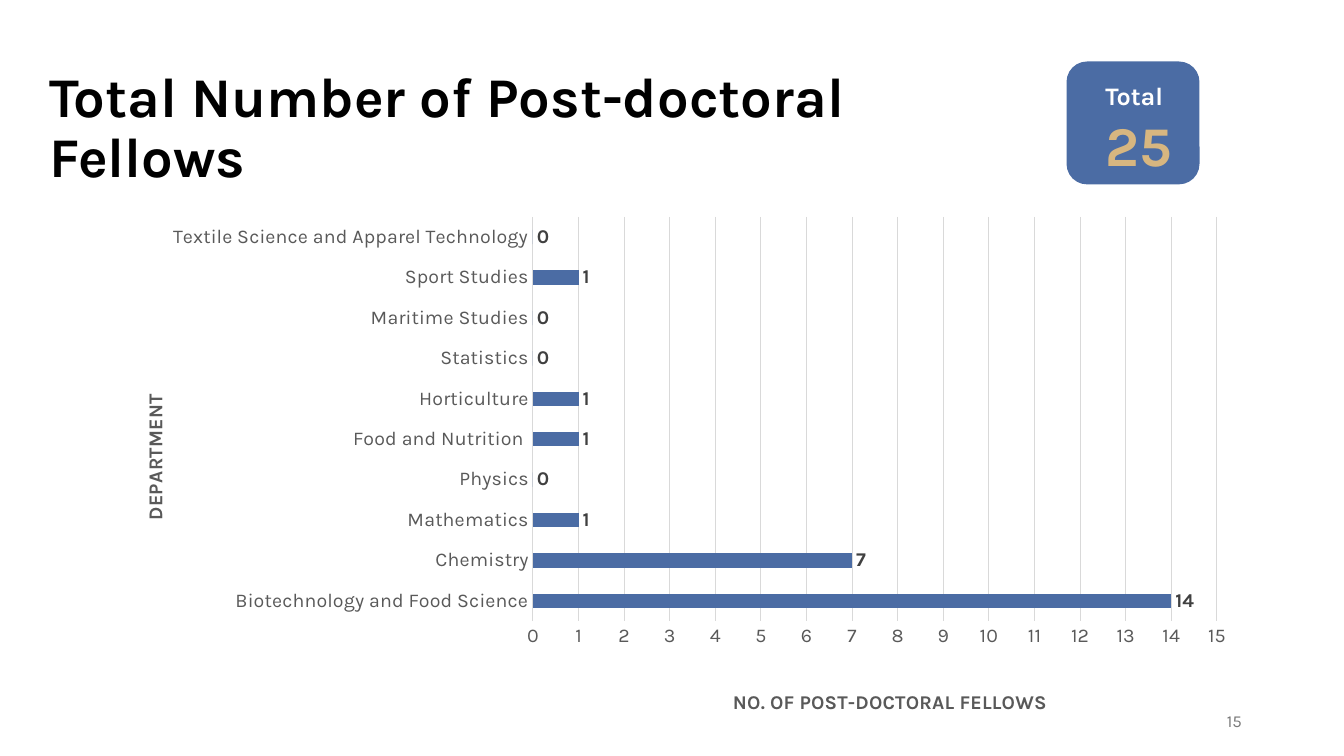
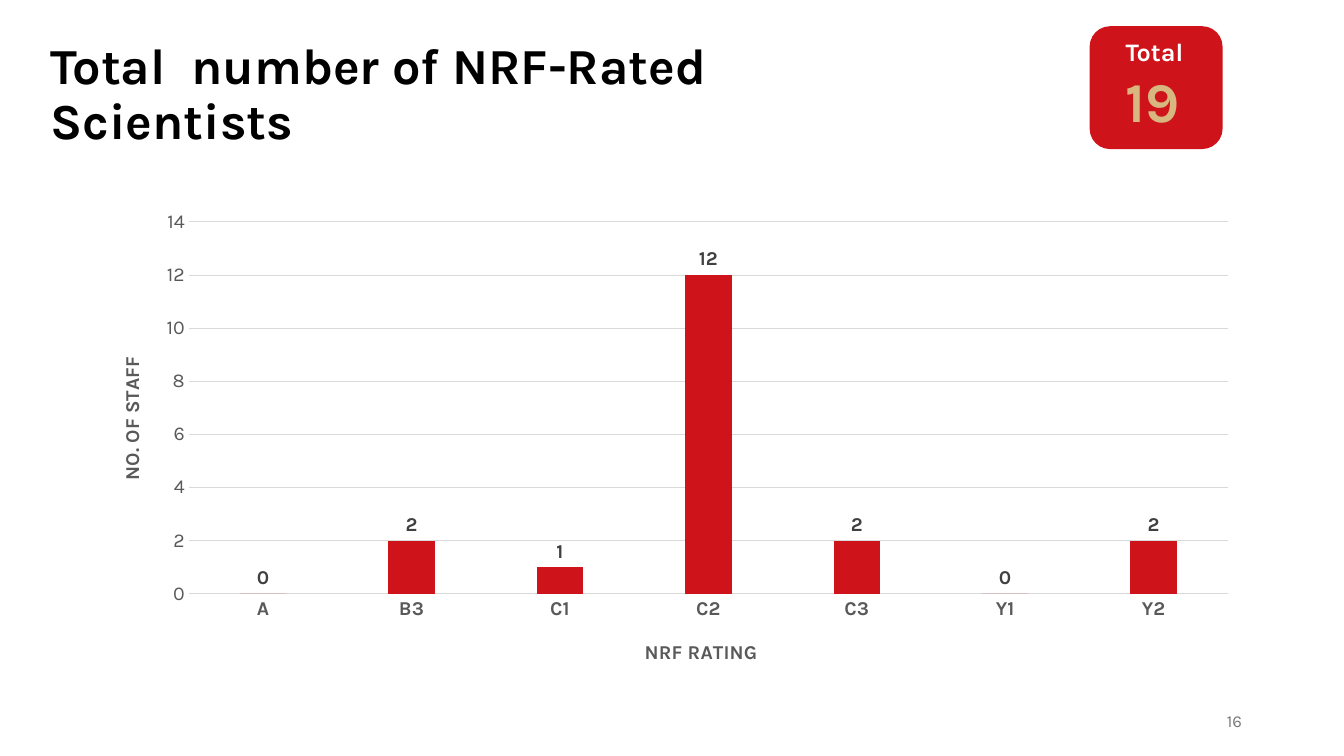
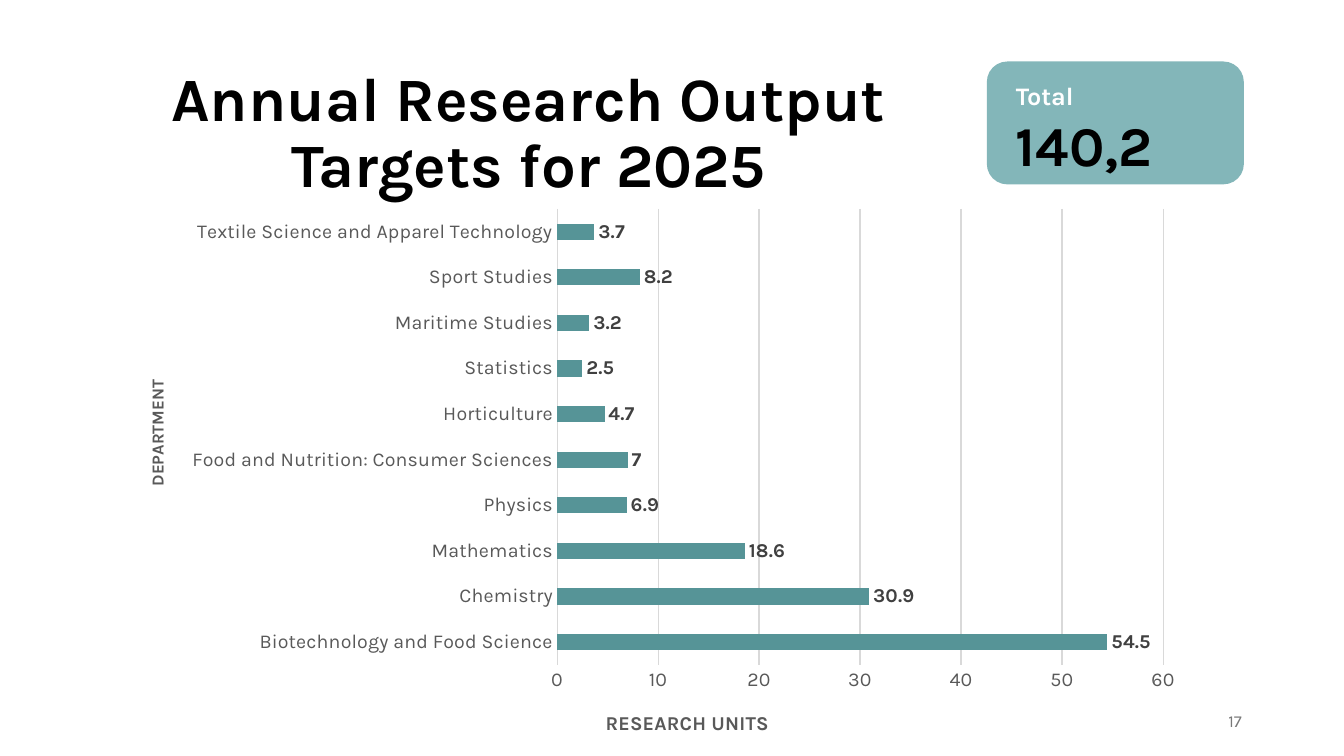
from collections import namedtuple

from lxml import etree
from pptx import Presentation
from pptx.chart import data
from pptx.dml.color import RGBColor
from pptx.enum import chart as charts, shapes, text
from pptx.oxml.ns import qn
from pptx.util import Pt

FONT = "Karla"
BLACK = RGBColor(0x00, 0x00, 0x00)
WHITE = RGBColor(0xFF, 0xFF, 0xFF)
GOLD = RGBColor(0xD7, 0xB6, 0x80)
BLUE = RGBColor(0x4B, 0x6C, 0xA4)
RED = RGBColor(0xCE, 0x14, 0x1A)
TEAL = RGBColor(0x56, 0x94, 0x97)
PALE_TEAL = RGBColor(0x83, 0xB6, 0xB9)
AXIS_GREY = RGBColor(0x59, 0x59, 0x59)
LABEL_GREY = RGBColor(0x40, 0x40, 0x40)
GRID_GREY = RGBColor(0xD9, 0xD9, 0xD9)
NUMBER_GREY = RGBColor(0x79, 0x79, 0x79)

BAR = charts.XL_CHART_TYPE.BAR_CLUSTERED
COLUMN = charts.XL_CHART_TYPE.COLUMN_CLUSTERED
LEFT, CENTER, RIGHT = (text.PP_ALIGN.LEFT, text.PP_ALIGN.CENTER,
                       text.PP_ALIGN.RIGHT)

Box = namedtuple("Box", "left top width height")
AxisTitle = namedtuple("AxisTitle", "text left top size")
ChartPlan = namedtuple(
    "ChartPlan",
    "kind frame plot color gap maximum step category_title value_title "
    "categories values bold_categories")

NUMBER_BOX = Box(678.2, 500.4, 216, 28.8)
BADGE_HEIGHT = 87.8


def departments(nutrition):
    return ["Biotechnology and Food Science", "Chemistry", "Mathematics",
            "Physics", nutrition, "Horticulture", "Statistics",
            "Maritime Studies", "Sport Studies",
            "Textile Science and Apparel Technology"]


def in_points(box):
    return [Pt(length) for length in box]


def style_font(font, size, color, bold=False):
    font.name = FONT
    font.size = Pt(size)
    font.bold = bold
    font.color.rgb = color


def write(para, words, size, color, bold=False, align=LEFT):
    para.text = words
    para.alignment = align
    for span in para.runs:
        style_font(span.font, size, color, bold)


def add_title(page, words, box, size, align=LEFT):
    title = page.shapes.title
    title.left, title.top, title.width, title.height = in_points(box)
    frame = title.text_frame
    frame.auto_size = text.MSO_AUTO_SIZE.NONE
    frame.vertical_anchor = text.MSO_ANCHOR.MIDDLE
    write(frame.paragraphs[0], words, size, BLACK, True, align)
    frame.paragraphs[0].line_spacing = 0.9


def add_text_box(page, box):
    frame = page.shapes.add_textbox(*in_points(box)).text_frame
    frame.word_wrap = True
    return frame


def add_badge(page, left, top, width, fill, text_box, total, total_color):
    badge = page.shapes.add_shape(
        shapes.MSO_SHAPE.ROUNDED_RECTANGLE,
        *in_points(Box(left, top, width, BADGE_HEIGHT)))
    badge.shadow.inherit = False
    badge.fill.solid()
    badge.fill.fore_color.rgb = fill
    badge.line.fill.background()
    frame = add_text_box(page, text_box)
    write(frame.paragraphs[0], "Total", 18, WHITE, True)
    write(frame.add_paragraph(), total, 40, total_color, True)


def add_page_number(page, number):
    frame = add_text_box(page, NUMBER_BOX)
    frame.vertical_anchor = text.MSO_ANCHOR.MIDDLE
    write(frame.paragraphs[0], str(number), 12, NUMBER_GREY, align=RIGHT)


def set_layout(parent, settings):
    layout = parent.find(qn("c:layout"))
    if layout is None:
        layout = etree.Element(qn("c:layout"))
        parent.insert(0, layout)
    manual = etree.SubElement(layout, qn("c:manualLayout"))
    for name, value in settings.items():
        etree.SubElement(manual, qn("c:" + name)).set("val", str(value))


def place_plot(chart, frame, plot):
    set_layout(chart.element.find(".//" + qn("c:plotArea")), {
        "layoutTarget": "inner", "xMode": "edge", "yMode": "edge",
        "x": (plot.left - frame.left) / frame.width,
        "y": (plot.top - frame.top) / frame.height,
        "w": plot.width / frame.width,
        "h": plot.height / frame.height})


def add_axis_title(axis, plan, frame, upright):
    title = axis.axis_title
    write(title.text_frame.paragraphs[0], plan.text, plan.size, AXIS_GREY,
          True, CENTER)
    element = title.format.element if hasattr(title.format, "element") \
        else title.element
    body = element.find(".//" + qn("a:bodyPr"))
    body.set("rot", "-5400000" if upright else "0")
    body.set("vert", "horz")
    set_layout(element, {
        "xMode": "edge", "yMode": "edge",
        "x": (plan.left - frame.left) / frame.width,
        "y": (plan.top - frame.top) / frame.height})


def style_axis(axis, bold=False):
    axis.major_tick_mark = charts.XL_TICK_MARK.NONE
    axis.minor_tick_mark = charts.XL_TICK_MARK.NONE
    style_font(axis.tick_labels.font, 14, AXIS_GREY, bold)


def style_line(line):
    line.color.rgb = GRID_GREY
    line.width = Pt(0.75)


def add_bars(page, plan):
    content = data.CategoryChartData()
    content.categories = plan.categories
    content.add_series("Series 1", plan.values)
    chart = page.shapes.add_chart(
        plan.kind, *in_points(plan.frame), content).chart
    chart.has_legend = False
    chart.has_title = False
    style_font(chart.font, 14, BLACK)
    place_plot(chart, plan.frame, plan.plot)

    bars = chart.plots[0]
    bars.vary_by_categories = False
    bars.gap_width = plan.gap
    series = bars.series[0]
    series.format.fill.solid()
    series.format.fill.fore_color.rgb = plan.color
    labels = series.data_labels
    labels.show_value = True
    labels.position = charts.XL_LABEL_POSITION.OUTSIDE_END
    style_font(labels.font, 14, LABEL_GREY, True)

    category, value = chart.category_axis, chart.value_axis
    style_axis(category, plan.bold_categories)
    style_line(category.format.line)
    style_axis(value)
    value.format.line.fill.background()
    value.minimum_scale = 0
    value.maximum_scale = plan.maximum
    value.major_unit = plan.step
    value.has_major_gridlines = True
    style_line(value.major_gridlines.format.line)
    add_axis_title(category, plan.category_title, plan.frame,
                   plan.kind == BAR)
    add_axis_title(value, plan.value_title, plan.frame, plan.kind == COLUMN)


def add_page(deck, number):
    page = deck.slides.add_slide(deck.slide_layouts[5])
    add_page_number(page, number)
    return page


def add_fellows(deck):
    page = add_page(deck, 15)
    add_bars(page, ChartPlan(
        BAR, Box(69.8, 148.3, 823, 366.5), Box(380.7, 155, 488.6, 292.1),
        BLUE, 182, 15, 1,
        AxisTitle("DEPARTMENT", 99, 281, 14),
        AxisTitle("NO. OF POST-DOCTORAL FELLOWS", 521, 494, 14),
        departments("Food and Nutrition "),
        [14, 7, 1, 0, 1, 1, 0, 0, 1, 0], False))
    add_badge(page, 761.8, 43.9, 95, BLUE, Box(782.6, 54, 86.4, 77.8),
              "25", GOLD)
    add_title(page, "Total Number of Post-doctoral Fellows",
              Box(28.1, 40.3, 691.2, 104.4), 40)


def add_scientists(deck):
    page = add_page(deck, 16)
    add_bars(page, ChartPlan(
        COLUMN, Box(66.2, 144, 828, 342.7), Box(135, 158.6, 742.1, 265.7),
        RED, 219, 14, 2,
        AxisTitle("NRF RATING", 458, 454, 14),
        AxisTitle("NO. OF STAFF", 82.5, 252, 14),
        ["A", "B3", "C1", "C2", "C3", "Y1", "Y2"],
        [0, 2, 1, 12, 2, 0, 2], True))
    add_badge(page, 778.3, 18.7, 95, RED, Box(797, 22.3, 86.4, 77.8),
              "19", GOLD)
    add_title(page, "Total  number of NRF-Rated Scientists",
              Box(28.8, 43.9, 658.8, 49), 36)


def add_targets(deck):
    page = add_page(deck, 17)
    add_bars(page, ChartPlan(
        BAR, Box(88.6, 141.8, 766.8, 396), Box(397.9, 149.3, 432.9, 325.7),
        TEAL, 182, 60, 10,
        AxisTitle("DEPARTMENT", 102, 269, 12),
        AxisTitle("RESEARCH UNITS", 430, 505, 14),
        departments("Food and Nutrition: Consumer Sciences"),
        [54.5, 30.9, 18.6, 6.9, 7, 4.7, 2.5, 3.2, 8.2, 3.7], False))
    add_badge(page, 704.9, 43.9, 183.6, PALE_TEAL,
              Box(718.6, 54, 159.8, 77.8), "140,2", BLACK)
    add_title(page, "Annual Research Output Targets for 2025",
              Box(67.7, 43.9, 619.9, 104.4), 44, CENTER)


def main():
    deck = Presentation()
    deck.slide_width, deck.slide_height = Pt(960), Pt(540)
    add_fellows(deck)
    add_scientists(deck)
    add_targets(deck)
    deck.save("out.pptx")


if __name__ == "__main__":
    main()
